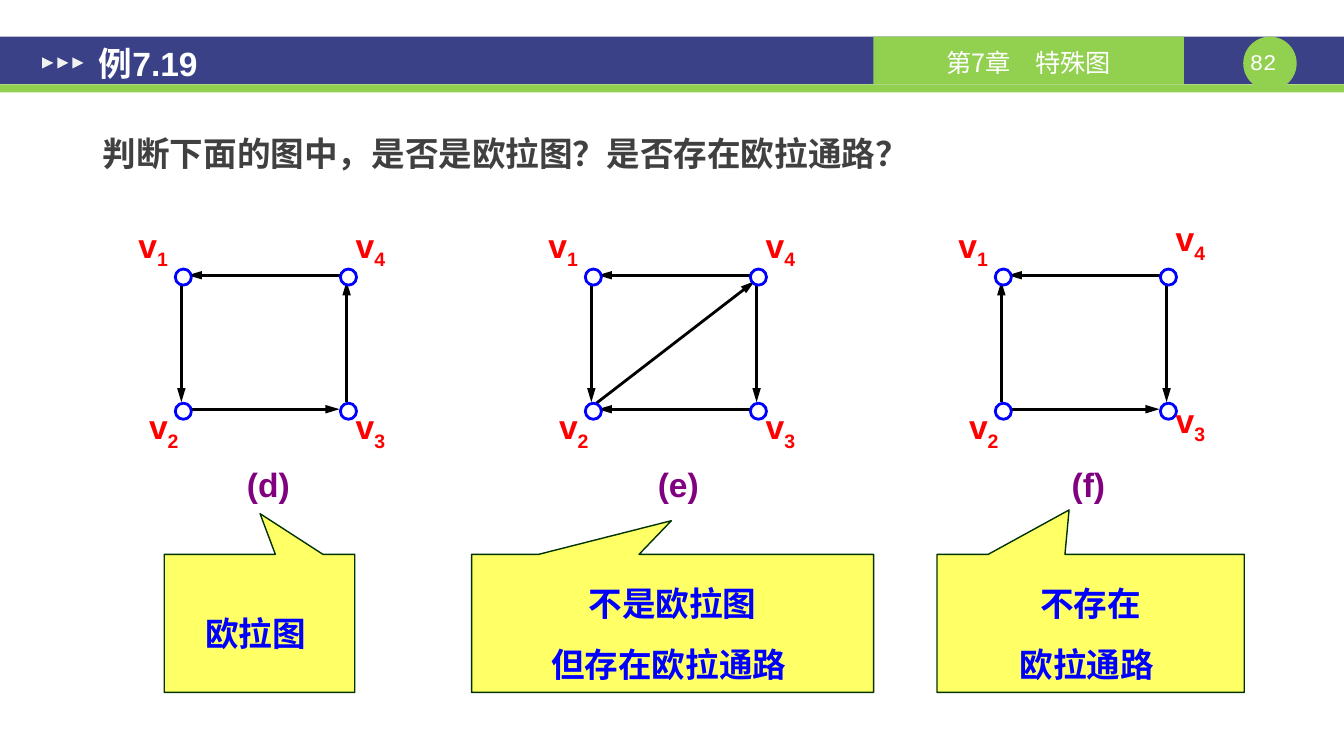
from lxml.etree import SubElement
from pptx import Presentation
from pptx.dml.color import RGBColor
from pptx.enum.shapes import MSO_CONNECTOR, MSO_SHAPE
from pptx.enum.text import MSO_ANCHOR, PP_ALIGN
from pptx.oxml.ns import qn
from pptx.util import Pt

COLORS = {
    "navy": "3A4187", "green": "92D050", "white": "FFFFFF", "marker": "F2F2F2",
    "question": "404040", "yellow": "FFFF66", "callout_edge": "003300",
    "blue": "0000FF", "red": "FF0000", "purple": "800080", "black": "000000",
}
CJK_FONT = "Noto Sans CJK SC"
NODE_SIZE = 11.5
FIRST_GRAPH_LEFT = 125.3
GRAPH_STEP = 293
NODES = [(0, 192.2), (0, 288), (118, 288), (118, 192.2)]
LABELS = [(-30.6, 160.6), (-23, 290.2), (124.6, 290.2), (124.6, 160.6)]
SEGMENTS = {
    "14": ((9, 196.6), (117.4, 196.6)),
    "12": ((4.3, 200.9), (4.3, 287.3)),
    "23": ((9, 292.3), (117.4, 292.3)),
    "34": ((122.4, 287.3), (122.4, 200.9)),
    "24": ((7.9, 288), (121, 200.9)),
}
GRAPHS = [
    ("(d)", ["41", "12", "23", "34"], 0),
    ("(e)", ["41", "12", "32", "43", "24"], 0),
    ("(f)", ["41", "21", "23", "43"], 4.7),
]
CALLOUTS = [
    (117.4, 136.1, (0.003, -0.795), ["欧拉图 "]),
    (337, 287.3, (-0.003, -0.744), ["不是欧拉图", "但存在欧拉通路 "]),
    (669.6, 219.6, (-0.07, -0.822), ["不存在", "欧拉通路 "]),
]


def rgb(color):
    return RGBColor.from_string(COLORS[color])


def add_block(slide, kind, box, fill, edge=None, edge_width=1):
    block = slide.shapes.add_shape(kind, *map(Pt, box))
    block.shadow.inherit = False
    block.fill.solid()
    block.fill.fore_color.rgb = rgb(fill)
    if edge:
        block.line.color.rgb = rgb(edge)
        block.line.width = Pt(edge_width)
    else:
        block.line.fill.background()
    return block


def style(paragraph, color, size=24, bold=True, font="Arial", align=PP_ALIGN.CENTER):
    paragraph.alignment = align
    paragraph.font.name = font
    paragraph.font.size = Pt(size)
    paragraph.font.bold = bold
    paragraph.font.color.rgb = rgb(color)
    defaults = paragraph._p.pPr.find(qn("a:defRPr"))
    SubElement(defaults, qn("a:ea")).set("typeface", CJK_FONT)


def set_margins(frame, left, top, right, bottom):
    frame.margin_left, frame.margin_top = Pt(left), Pt(top)
    frame.margin_right, frame.margin_bottom = Pt(right), Pt(bottom)


def add_text(slide, box, text, color, margins=(0, 0, 0, 0), **looks):
    frame = slide.shapes.add_textbox(*map(Pt, box)).text_frame
    frame.word_wrap = True
    set_margins(frame, *margins)
    paragraph = frame.paragraphs[0]
    paragraph.add_run().text = text
    style(paragraph, color, **looks)
    return frame


def add_header(slide):
    add_block(slide, MSO_SHAPE.RECTANGLE, (0, 26.2, 960.5, 34), "navy")
    add_block(slide, MSO_SHAPE.RECTANGLE, (0, 60.2, 960.5, 5.8), "green")
    add_block(slide, MSO_SHAPE.OVAL, (888.5, 26.2, 38.2, 38.2), "green")
    add_text(slide, (888.5, 34.6, 38.2, 19.4), "82 ", "white",
             size=16, bold=False, font="Courier New")
    chapter = add_block(slide, MSO_SHAPE.RECTANGLE, (624.2, 26.2, 221.8, 34), "green").text_frame
    set_margins(chapter, 7.2, 2.9, 7.2, 0)
    chapter.vertical_anchor = MSO_ANCHOR.MIDDLE
    chapter.paragraphs[0].add_run().text = "第7章　特殊图"
    style(chapter.paragraphs[0], "white", size=18, bold=False, font=CJK_FONT)
    for index in range(3):
        marker = add_block(slide, MSO_SHAPE.ISOSCELES_TRIANGLE,
                           (30.2 + 10.8 * index, 41, 7.9, 7.9), "marker")
        marker.rotation = 90
    title = add_text(slide, (61.2, 28.1, 419.8, 33.8), "例7.19", "white",
                     margins=(9.4, 5, 9.4, 5), align=PP_ALIGN.LEFT)
    title.vertical_anchor = MSO_ANCHOR.MIDDLE


def add_question(slide):
    question = add_text(slide, (64.1, 84.2, 846.7, 118.1),
                        "判断下面的图中，是否是欧拉图？是否存在欧拉通路？", "question",
                        margins=(9.4, 5, 9.4, 5), align=PP_ALIGN.LEFT)
    question.paragraphs[0].line_spacing = 1.2
    question.paragraphs[0].space_before = Pt(4.8)


def add_callout(slide, left, width, pointer, lines):
    callout = add_block(slide, MSO_SHAPE.RECTANGULAR_CALLOUT, (left, 396, width, 98.6),
                        "yellow", "callout_edge")
    callout.adjustments[0], callout.adjustments[1] = pointer
    frame = callout.text_frame
    frame.vertical_anchor = MSO_ANCHOR.MIDDLE
    frame.text = "\n".join(lines)
    for paragraph in frame.paragraphs:
        paragraph.line_spacing = 1.5
        style(paragraph, "blue")


def add_edge(slide, left, edge):
    if edge in SEGMENTS:
        start, end = SEGMENTS[edge]
    else:
        end, start = SEGMENTS[edge[::-1]]
    arrow = slide.shapes.add_connector(
        MSO_CONNECTOR.STRAIGHT, Pt(left + start[0]), Pt(start[1]), Pt(left + end[0]), Pt(end[1]))
    arrow.line.color.rgb = rgb("black")
    arrow.line.width = Pt(2)
    head = SubElement(arrow.line._get_or_add_ln(), qn("a:tailEnd"))
    for key, value in (("type", "triangle"), ("w", "med"), ("len", "lg")):
        head.set(key, value)
    SubElement(arrow._element.spPr, qn("a:effectLst"))


def add_graph(slide, left, caption, edges, right_label_lift):
    for edge in edges:
        add_edge(slide, left, edge)
    for number, ((node_x, node_y), (label_x, label_y)) in enumerate(zip(NODES, LABELS), 1):
        add_block(slide, MSO_SHAPE.OVAL, (left + node_x, node_y, NODE_SIZE, NODE_SIZE),
                  "white", "blue", 2)
        lift = right_label_lift if node_x else 0
        label = add_text(slide, (left + label_x, label_y - lift, 29.5, 28.8), "v", "red")
        subscript = label.paragraphs[0].add_run()
        subscript.text = str(number)
        subscript.font._element.set("baseline", "-25000")
    add_text(slide, (left + 42, 331.2, 49, 28.8), caption, "purple")


def main():
    presentation = Presentation()
    presentation.slide_width, presentation.slide_height = Pt(960.5), Pt(540)
    slide = presentation.slides.add_slide(presentation.slide_layouts[6])
    add_header(slide)
    add_question(slide)
    for callout in CALLOUTS:
        add_callout(slide, *callout)
    for index, graph in enumerate(GRAPHS):
        add_graph(slide, FIRST_GRAPH_LEFT + GRAPH_STEP * index, *graph)
    presentation.save("out.pptx")


if __name__ == "__main__":
    main()
